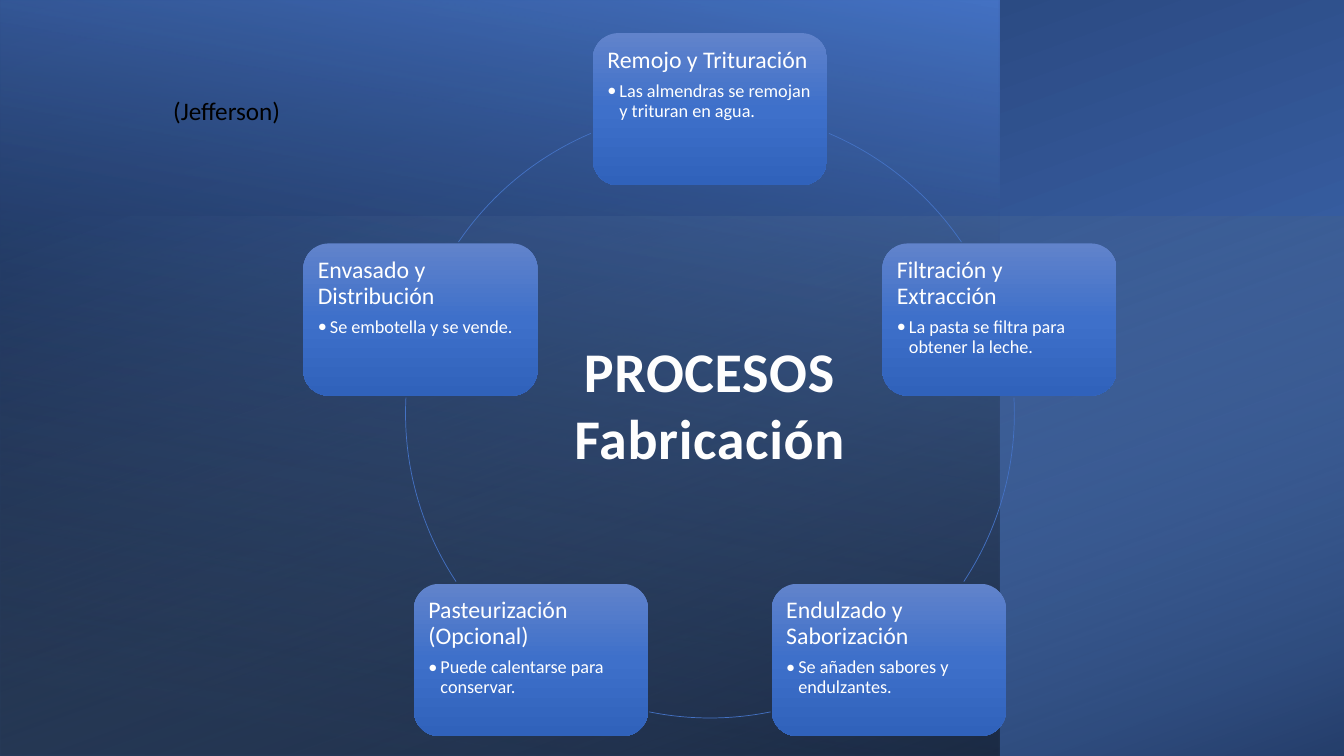
"""Build a slide showing the five-step almond milk production cycle."""
import math

import lxml.etree
import pptx
import pptx.dml.color
import pptx.enum.shapes
import pptx.enum.text
import pptx.oxml
import pptx.oxml.ns
import pptx.util

SHAPE = pptx.enum.shapes.MSO_SHAPE
ALIGN = pptx.enum.text.PP_ALIGN
COLORS = {
    "blue": "4472C4", "navy": "203864", "black": "000000", "sky": "9DC3E6",
    "card_top": "6183CB", "card_middle": "3E70CA", "card_bottom": "3062BB",
    "white": "FFFFFF", "title": "FEFEFE",
}
FONT = "Calibri"
COLUMNS, ROWS = 40, 22.5
CENTER_COLUMN, CENTER_ROW, RADIUS = 21.13, 12.31, 9.06
CARD_COLUMNS, CARD_ROWS = 6.97, 4.53
BACKDROPS = [
    ((0, 0, COLUMNS, ROWS), 270, [(8, "blue", 100), (100, "navy", 100)], 200),
    ((0, 0, 29.75, ROWS), 180, [(8, "black", 52), (100, "blue", 100)], 80),
    ((0, 6.45, COLUMNS, 16.05), 270, [(0, "sky", 0), (100, "black", 46)], 20),
]
CARD_STOPS = [(0, "card_top", 100), (50, "card_middle", 100), (100, "card_bottom", 100)]
STEPS = [
    ("Remojo y Trituración", "Las almendras se remojan y trituran en agua.", (-67, -34.3)),
    ("Filtración y Extracción", "La pasta se filtra para obtener la leche.", (-3, 33.5)),
    ("Endulzado y Saborización", "Se añaden sabores y endulzantes.", (78.5, 101.5)),
    ("Pasteurización (Opcional)", "Puede calentarse para conservar.", (146.5, 183)),
    ("Envasado y Distribución", "Se embotella y se vende.", (214.3, 247)),
]


class SlideBuilder:
    def __init__(self, presentation):
        self.cell_width = presentation.slide_width / COLUMNS
        self.cell_height = presentation.slide_height / ROWS
        self.slide = presentation.slides.add_slide(presentation.slide_layouts[5])

    def place(self, left, top, width, height):
        return (round(left * self.cell_width), round(top * self.cell_height),
                round(width * self.cell_width), round(height * self.cell_height))

    def add_shape(self, kind, area):
        shape = self.slide.shapes.add_shape(kind, *self.place(*area))
        shape.shadow.inherit = False
        shape.fill.background()
        shape.line.fill.background()
        return shape

    def fill_gradient(self, shape, stops, angle):
        namespace = pptx.oxml.ns.nsdecls("a")
        stop_xml = "".join(
            f'<a:gs pos="{position * 1000}"><a:srgbClr val="{COLORS[color]}">'
            f'<a:alpha val="{alpha * 1000}"/></a:srgbClr></a:gs>'
            for position, color, alpha in stops)
        gradient = pptx.oxml.parse_xml(
            f'<a:gradFill {namespace} rotWithShape="1"><a:gsLst>{stop_xml}</a:gsLst>'
            f'<a:lin ang="{angle * 60000}" scaled="0"/></a:gradFill>')
        properties = shape.element.spPr
        old_fill = properties.find(pptx.oxml.ns.qn("a:noFill"))
        properties.replace(old_fill, gradient)

    def add_run(self, paragraph, text, size, color, bold=False):
        run = paragraph.add_run()
        run.text = text
        run.font.name = FONT
        run.font.size = pptx.util.Pt(size)
        run.font.bold = bold
        run.font.color.rgb = pptx.dml.color.RGBColor.from_string(COLORS[color])
        return run

    def add_backdrop(self, area, rotation, stops, angle):
        left, top, width, height = area
        shift = (width - height) / 2 if rotation == 270 else 0
        if shift:
            width, height = height, width
        shape = self.add_shape(SHAPE.RECTANGLE, (left + shift, top - shift, width, height))
        shape.rotation = rotation
        shape.element.spPr.xfrm.set("flipH", "1")
        self.fill_gradient(shape, stops, angle)

    def add_card(self, angle, heading, detail):
        left = CENTER_COLUMN + RADIUS * math.cos(angle) - CARD_COLUMNS / 2
        top = CENTER_ROW + RADIUS * math.sin(angle) - CARD_ROWS / 2
        card = self.add_shape(SHAPE.ROUNDED_RECTANGLE, (left, top, CARD_COLUMNS, CARD_ROWS))
        self.fill_gradient(card, CARD_STOPS, 90)
        frame = card.text_frame
        frame.word_wrap = True
        frame.vertical_anchor = pptx.enum.text.MSO_ANCHOR.TOP
        inset = pptx.util.Inches(0.07)
        frame.margin_left = frame.margin_right = inset
        frame.margin_top = frame.margin_bottom = inset
        bullet = frame.add_paragraph()
        properties = bullet._p.get_or_add_pPr()
        properties.set("marL", str(pptx.util.Inches(0.12)))
        properties.set("indent", str(pptx.util.Inches(-0.12)))
        lxml.etree.SubElement(properties, pptx.oxml.ns.qn("a:buFont"), typeface=FONT)
        lxml.etree.SubElement(properties, pptx.oxml.ns.qn("a:buChar"), char="•")
        for paragraph, text, size, gap in (
                (frame.paragraphs[0], heading, 17, 6), (bullet, detail, 13, 2)):
            paragraph.alignment = ALIGN.LEFT
            paragraph.line_spacing = 0.9
            paragraph.space_after = pptx.util.Pt(gap)
            self.add_run(paragraph, text, size, "white")

    def add_arc(self, start, end):
        arc = self.add_shape(SHAPE.ARC, (CENTER_COLUMN - RADIUS, CENTER_ROW - RADIUS,
                                         2 * RADIUS, 2 * RADIUS))
        for index, degrees in enumerate((start, end)):
            arc.adjustments[index] = degrees % 360 * 0.6
        arc.line.color.rgb = pptx.dml.color.RGBColor.from_string(COLORS["blue"])
        arc.line.width = pptx.util.Pt(0.5)

    def add_title(self, text, area):
        title = self.slide.shapes.title
        title.left, title.top, title.width, title.height = self.place(*area)
        title.element.getparent().append(title.element)
        frame = title.text_frame
        frame.word_wrap = True
        frame.auto_size = pptx.enum.text.MSO_AUTO_SIZE.NONE
        frame.vertical_anchor = pptx.enum.text.MSO_ANCHOR.TOP
        paragraph = frame.paragraphs[0]
        paragraph.alignment = ALIGN.CENTER
        run = self.add_run(paragraph, text, 40, "title", bold=True)
        properties = run.font._element
        properties.set("spc", "50")
        properties.insert(0, pptx.oxml.parse_xml(
            f'<a:ln {pptx.oxml.ns.nsdecls("a")} w="9525"><a:solidFill>'
            f'<a:srgbClr val="{COLORS["blue"]}"/></a:solidFill></a:ln>'))

    def add_label(self, text, area):
        label = self.slide.shapes.add_textbox(*self.place(*area))
        label.text_frame.word_wrap = True
        self.add_run(label.text_frame.paragraphs[0], text, 18, "black")


def main():
    presentation = pptx.Presentation()
    presentation.slide_width = pptx.util.Inches(13.33)
    presentation.slide_height = pptx.util.Inches(7.5)
    builder = SlideBuilder(presentation)
    for backdrop in BACKDROPS:
        builder.add_backdrop(*backdrop)
    for index, (heading, detail, arc) in enumerate(STEPS):
        builder.add_card(math.radians(index * 360 / len(STEPS) - 90), heading, detail)
        builder.add_arc(*arc)
    builder.add_title("PROCESOS Fabricación", (16.74, 9.87, 8.76, 4.35))
    builder.add_label("(Jefferson)", (4.86, 2.7, 3.84, 1.2))
    presentation.save("out.pptx")


if __name__ == "__main__":
    main()
